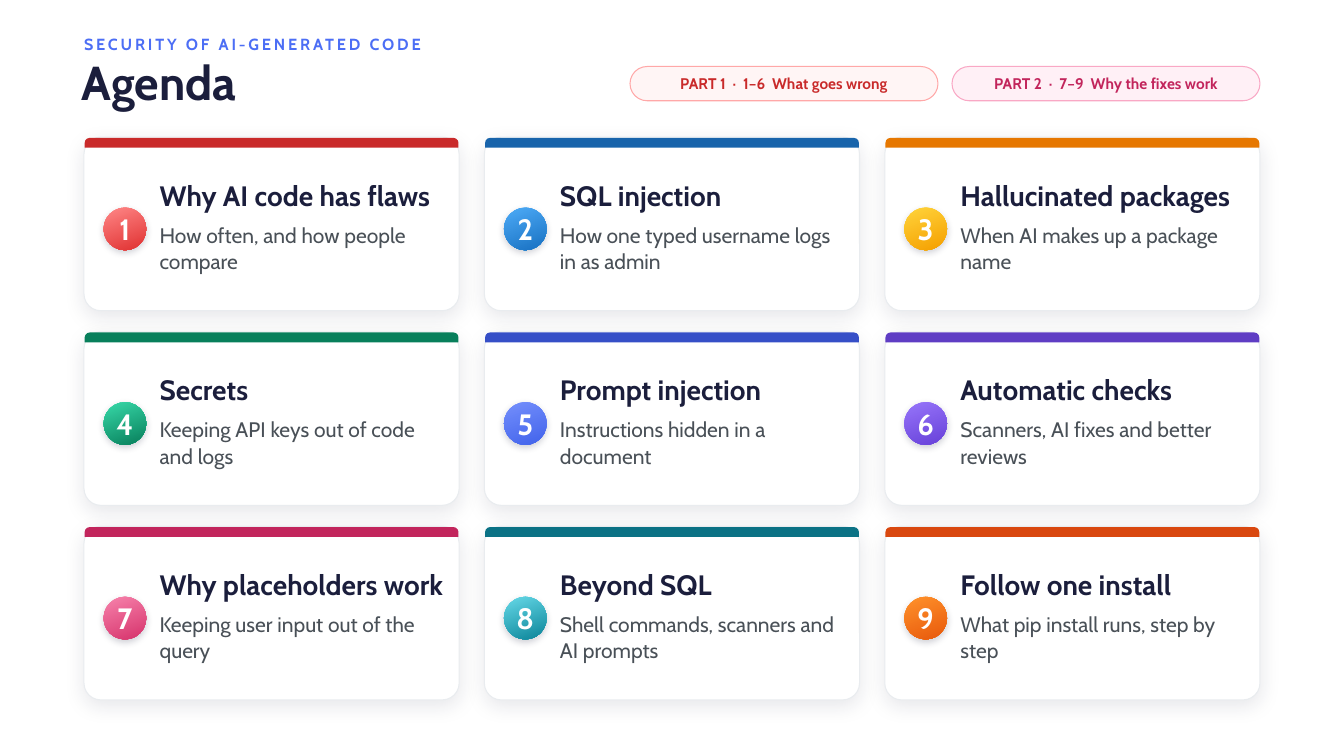
from lxml import etree
from pptx import Presentation
from pptx.dml.color import RGBColor
from pptx.enum.shapes import MSO_SHAPE
from pptx.enum.text import MSO_ANCHOR, MSO_AUTO_SIZE, PP_ALIGN
from pptx.oxml.ns import qn
from pptx.util import Pt

ROUNDED = MSO_SHAPE.ROUNDED_RECTANGLE
ROUND_TOP = MSO_SHAPE.ROUND_2_SAME_RECTANGLE
OVAL = MSO_SHAPE.OVAL
MIDDLE = MSO_ANCHOR.MIDDLE
NO_AUTOFIT = MSO_AUTO_SIZE.NONE
LEFT, CENTER = PP_ALIGN.LEFT, PP_ALIGN.CENTER

FONT = "Cabin"
COLORS = {"ink": "1B1E3C", "accent": "4C6EF5", "muted": "495057",
          "white": "FFFFFF", "border": "E9ECEF"}

KICKER = "SECURITY OF AI-GENERATED CODE"
TITLE = "Agenda"
# label, text colour, fill, outline
PARTS = [
    ("PART 1  ·  1–6  What goes wrong", "C92A2A", "FFF5F5", "FFA8A8"),
    ("PART 2  ·  7–9  Why the fixes work", "C2255C", "FFF0F6", "F9A8C5"),
]
# heading, summary, bar colour, badge gradient start, badge gradient end
TOPICS = [
    ("Why AI code has flaws", "How often, and how people compare",
     "C92A2A", "FF8787", "E03131"),
    ("SQL injection", "How one typed username logs in as admin",
     "1864AB", "4DABF7", "1971C2"),
    ("Hallucinated packages", "When AI makes up a package name",
     "E67700", "FFD43B", "F59F00"),
    ("Secrets", "Keeping API keys out of code and logs",
     "087F5B", "38D9A9", "087F5B"),
    ("Prompt injection", "Instructions hidden in a document",
     "364FC7", "748FFC", "4263EB"),
    ("Automatic checks", "Scanners, AI fixes and better reviews",
     "5F3DC4", "9775FA", "6741D9"),
    ("Why placeholders work", "Keeping user input out of the query",
     "C2255C", "F783AC", "D6336C"),
    ("Beyond SQL", "Shell commands, scanners and AI prompts",
     "0B7285", "66D9E8", "0C8599"),
    ("Follow one install", "What pip install runs, step by step",
     "D9480F", "FF922B", "E8590C"),
]

COLUMNS = 3
GRID_LEFT, GRID_TOP = 60, 98
CARD_W, CARD_H = 268, 124
GAP_X, GAP_Y = 18, 15
BAR_H, BADGE = 7, 30.5
PILL_LEFT, PILL_TOP, PILL_W, PILL_H, PILL_GAP = 450, 47.5, 220, 24.5, 10


def rgb(value):
    return RGBColor.from_string(value)


def set_frame(shape, wrap):
    frame = shape.text_frame
    frame.margin_left = frame.margin_right = 0
    frame.margin_top = frame.margin_bottom = 0
    frame.vertical_anchor = MIDDLE
    frame.auto_size = NO_AUTOFIT
    frame.word_wrap = wrap
    return frame


def write(paragraph, text, size, color, bold=True, align=LEFT, spacing=None):
    paragraph.text = text
    paragraph.alignment = align
    paragraph.line_spacing = spacing
    font = paragraph.runs[0].font
    font.name, font.size, font.bold = FONT, Pt(size), bold
    font.color.rgb = rgb(color)


def place(shape, left, top, width, height):
    shape.left, shape.top = Pt(left), Pt(top)
    shape.width, shape.height = Pt(width), Pt(height)


def add_box(slide, preset, box, fill=None, line=None, corners=()):
    shape = slide.shapes.add_shape(preset, *map(Pt, box))
    shape.shadow.inherit = False
    for index, corner in enumerate(corners):
        shape.adjustments[index] = corner
    if fill:
        shape.fill.solid()
        shape.fill.fore_color.rgb = rgb(fill)
    if line:
        shape.line.color.rgb = rgb(line)
        shape.line.width = Pt(0.75)
    else:
        shape.line.fill.background()
    return shape


def drop_shadow(shape, opacity, blur, distance):
    effects = shape._element.spPr.find(qn("a:effectLst"))
    shadow = etree.SubElement(
        effects, qn("a:outerShdw"), blurRad=str(Pt(blur)),
        dist=str(Pt(distance)), dir="5400000", algn="ctr", rotWithShape="0")
    color = etree.SubElement(shadow, qn("a:srgbClr"), val=COLORS["ink"])
    etree.SubElement(color, qn("a:alpha"), val=str(opacity * 1000))


def add_header(slide):
    title = slide.shapes.title
    place(title, 58.5, 39, 841.5, 43)
    write(set_frame(title, True).paragraphs[0], TITLE, 34, COLORS["ink"],
          spacing=0.9)

    kicker = slide.shapes.add_textbox(Pt(60), Pt(23), Pt(650), Pt(17.5))
    paragraph = set_frame(kicker, False).paragraphs[0]
    write(paragraph, KICKER, 11.5, COLORS["accent"])
    paragraph.runs[0].font._element.set("spc", "200")


def add_badge(slide, left, top, number, start, end):
    badge = add_box(slide, OVAL, (left, top, BADGE, BADGE))
    badge.fill.gradient()
    badge.fill.gradient_angle = 290
    for stop, color in zip(badge.fill.gradient_stops, (start, end)):
        stop.color.rgb = rgb(color)
    drop_shadow(badge, 20, 5, 2)
    write(set_frame(badge, False).paragraphs[0], str(number), 21,
          COLORS["white"], align=CENTER)


def add_card(slide, index, topic):
    heading, summary, bar_color, start, end = topic
    row, column = divmod(index, COLUMNS)
    left = GRID_LEFT + column * (CARD_W + GAP_X)
    top = GRID_TOP + row * (CARD_H + GAP_Y)

    card = add_box(slide, ROUNDED, (left, top, CARD_W, CARD_H),
                   COLORS["white"], COLORS["border"], [0.097])
    drop_shadow(card, 10, 14, 4)
    add_box(slide, ROUND_TOP, (left + 0.5, top + 0.5, CARD_W - 1, BAR_H),
            bar_color, corners=[0.5, 0])
    add_badge(slide, left + 14, top + (CARD_H + BAR_H - BADGE) / 2,
              index + 1, start, end)

    label = slide.shapes.add_textbox(Pt(left + 54), Pt(top + 12),
                                     Pt(203), Pt(104))
    frame = set_frame(label, True)
    write(frame.paragraphs[0], heading, 20, COLORS["ink"], spacing=0.98)
    detail = frame.add_paragraph()
    write(detail, summary, 15, COLORS["muted"], bold=False, spacing=1.04)
    detail.space_before = Pt(6)


def add_pill(slide, index, part):
    text, color, fill, outline = part
    left = PILL_LEFT + index * (PILL_W + PILL_GAP)
    pill = add_box(slide, ROUNDED, (left, PILL_TOP, PILL_W, PILL_H),
                   fill, outline, [0.5])
    write(set_frame(pill, False).paragraphs[0], text, 11, color, align=CENTER)


def main():
    deck = Presentation()
    deck.slide_width, deck.slide_height = Pt(960), Pt(540)
    slide = deck.slides.add_slide(deck.slide_layouts[5])
    add_header(slide)
    for index, topic in enumerate(TOPICS):
        add_card(slide, index, topic)
    for index, part in enumerate(PARTS):
        add_pill(slide, index, part)
    deck.save("out.pptx")


if __name__ == "__main__":
    main()
